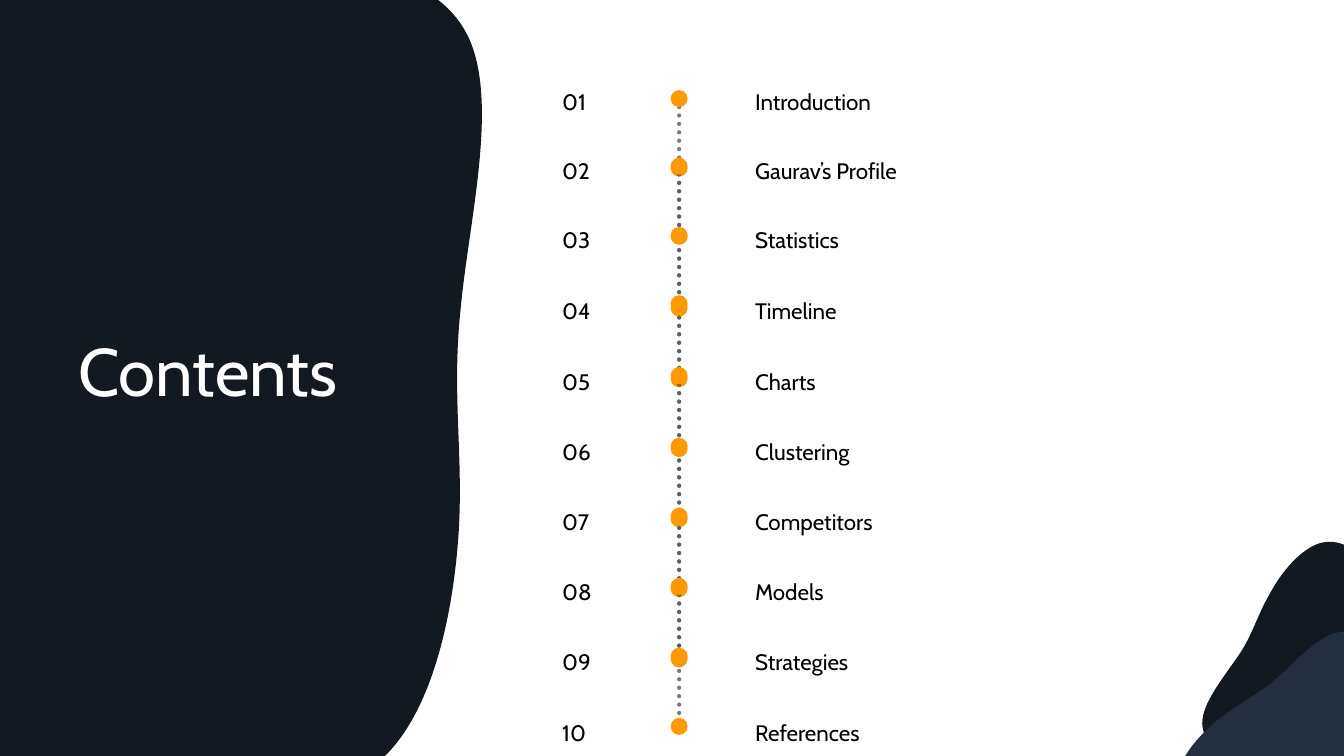
from dataclasses import dataclass
from math import cos, radians, sin

from lxml.etree import SubElement
from pptx import Presentation
from pptx.dml.color import RGBColor
from pptx.enum.dml import MSO_LINE_DASH_STYLE as DashStyle
from pptx.enum.shapes import MSO_CONNECTOR as Connector
from pptx.enum.shapes import MSO_SHAPE as Preset
from pptx.enum.text import MSO_AUTO_SIZE as AutoSize
from pptx.oxml.ns import qn
from pptx.util import Cm, Pt


@dataclass(frozen=True)
class Theme:
    font: str = "Cabin"
    title_size: int = Pt(48)
    entry_size: int = Pt(16)
    line_width: int = Pt(3)
    dark: RGBColor = RGBColor.from_string("131921")
    slate: RGBColor = RGBColor.from_string("232F3E")
    accent: RGBColor = RGBColor.from_string("FF9900")
    dots: RGBColor = RGBColor.from_string("595959")
    text: RGBColor = RGBColor.from_string("000000")
    light: RGBColor = RGBColor.from_string("FFFFFF")


@dataclass(frozen=True)
class Box:
    left: int
    top: int
    width: int
    height: int


THEME = Theme()

ENTRIES = [
    "Introduction", "Gaurav’s Profile", "Statistics", "Timeline", "Charts",
    "Clustering", "Competitors", "Models", "Strategies", "References",
]
ROW_OFFSETS = [Cm(y) for y in (0, 1.75, 3.47, 5.28, 7.06, 8.82, 10.59, 12.35, 14.12, 15.9)]

PANEL_OUTLINE = [
    [(7.39, -0.89)],
    [(9.32, -0.94), (11.28, -0.48), (11.89, 1.14)],
    [(12.52, 2.82), (11.81, 5.64), (11.61, 7.77)],
    [(11.38, 9.93), (11.68, 11.4), (11.56, 13.41)],
    [(11.43, 15.42), (10.92, 17.91), (9.65, 19.1)],
    [(8.56, 20.14), (6.91, 20.17), (5.41, 19.51)],
    [(4.98, 19.28)], [(4.98, 19.53)], [(0, 19.53)], [(0, -0.38)], [(4.62, -0.38)],
    [(5.49, -0.74), (6.43, -0.89), (7.39, -0.89)],
]

BACK_HILL_OUTLINE = [
    [(1.3, 5.14)],
    [(1.35, 4.63), (1.91, 3.97), (2.27, 3.43)],
    [(2.6, 2.9), (2.7, 2.47), (3, 1.96)],
    [(3.28, 1.43), (3.77, 0.84), (4.25, 0.69)],
    [(4.73, 0.54), (5.24, 0.84), (5.54, 1.3)],
    [(5.85, 1.78), (5.95, 2.42), (5.87, 3.08)],
    [(5.8, 3.71), (5.54, 4.35), (5.19, 4.96)],
    [(4.81, 5.57), (4.35, 6.13), (3.84, 6.38)],
    [(3.31, 6.61), (2.75, 6.51), (2.24, 6.28)],
    [(1.71, 6.02), (1.25, 5.64), (1.3, 5.14)],
]

FRONT_HILL_OUTLINE = [
    [(4.66, 2.95)],
    [(4.15, 3.08), (3.59, 3.74), (3.11, 4.15)],
    [(2.62, 4.55), (2.22, 4.73), (1.73, 5.11)],
    [(1.28, 5.47), (0.77, 6.02), (0.69, 6.51)],
    [(0.62, 7.02), (0.97, 7.47), (1.48, 7.7)],
    [(1.99, 7.93), (2.65, 7.96), (3.28, 7.78)],
    [(3.89, 7.6), (4.5, 7.27), (5.04, 6.81)],
    [(5.59, 6.35), (6.08, 5.82), (6.23, 5.26)],
    [(6.41, 4.73), (6.2, 4.17), (5.9, 3.69)],
    [(5.59, 3.23), (5.16, 2.82), (4.66, 2.95)],
]


def apply_format(target, values):
    for name, value in values.items():
        setattr(target, name, value)


def paint(shape, color):
    shape.shadow.inherit = False
    shape.fill.solid()
    shape.fill.fore_color.rgb = color
    shape.line.fill.background()


def turn_into_frame(point, box, frame, rotation):
    angle = radians(-rotation)
    x = box.left + Cm(point[0]) - frame.left - frame.width / 2
    y = box.top + Cm(point[1]) - frame.top - frame.height / 2
    return (round(x * cos(angle) - y * sin(angle) + frame.width / 2),
            round(x * sin(angle) + y * cos(angle) + frame.height / 2))


def add_blob(slide, box, frame, segments, color, rotation=0):
    curves = [[turn_into_frame(point, box, frame, rotation) for point in segment]
              for segment in segments]
    anchors = [curve[-1] for curve in curves]
    builder = slide.shapes.build_freeform(*anchors[0])
    builder.add_line_segments(anchors[1:], close=True)
    shape = builder.convert_to_shape()
    outline = next(shape._element.iter(qn("a:path")))
    outline.clear()
    apply_format(shape, {"left": frame.left, "top": frame.top, "width": frame.width,
                         "height": frame.height, "rotation": rotation})
    outline.set("w", str(frame.width))
    outline.set("h", str(frame.height))
    for index, curve in enumerate(curves):
        command = "a:cubicBezTo" if len(curve) == 3 else "a:lnTo"
        step = SubElement(outline, qn(command if index else "a:moveTo"))
        for x, y in curve:
            corner = SubElement(step, qn("a:pt"))
            corner.set("x", str(x))
            corner.set("y", str(y))
    SubElement(outline, qn("a:close"))
    paint(shape, color)


def add_text(slide, box, text, size, color, wrap=True, spacing=None):
    shape = slide.shapes.add_textbox(box.left, box.top, box.width, box.height)
    frame = shape.text_frame
    apply_format(frame, {"word_wrap": wrap, "auto_size": AutoSize.SHAPE_TO_FIT_TEXT})
    paragraph = frame.paragraphs[0]
    paragraph.line_spacing = spacing
    run = paragraph.add_run()
    run.text = text
    apply_format(run.font, {"name": THEME.font, "size": size})
    run.font.color.rgb = color


def draw_title_panel(slide, box):
    frame = Box(box.left, box.top - Cm(0.91), box.width, Cm(20.85))
    add_blob(slide, box, frame, PANEL_OUTLINE, THEME.dark)
    title_box = Box(box.left + Cm(1.73), box.top + Cm(8.18), Cm(7.49), Cm(2.31))
    add_text(slide, title_box, "Contents", THEME.title_size, THEME.light, wrap=False)


def draw_dot_chain(slide, box, offsets):
    group = slide.shapes.add_group_shape()
    radius = box.width // 2
    center = box.left + radius
    line = group.shapes.add_connector(
        Connector.STRAIGHT, center, box.top + radius, center, box.top + box.height - radius)
    apply_format(line.line, {"width": THEME.line_width, "dash_style": DashStyle.ROUND_DOT})
    line.line.color.rgb = THEME.dots
    properties = line._element.spPr
    outline = properties.find(qn("a:ln"))
    outline.set("cap", "rnd")
    color = outline.find(qn("a:solidFill")).find(qn("a:srgbClr"))
    SubElement(color, qn("a:alpha")).set("val", "80000")
    SubElement(properties, qn("a:effectLst"))
    for offset in offsets:
        dot = group.shapes.add_shape(
            Preset.OVAL, box.left, box.top + offset, box.width, box.width)
        paint(dot, THEME.accent)


def draw_contents(slide, box):
    columns = {"number": (0, Cm(2.06)), "label": (Cm(4.86), Cm(6.53))}
    for number, (entry, row) in enumerate(zip(ENTRIES, ROW_OFFSETS), start=1):
        texts = {"number": f"{number:02d}", "label": entry}
        for name, (offset, width) in columns.items():
            cell = Box(box.left + offset, box.top + row, width, Cm(1.07))
            add_text(slide, cell, texts[name], THEME.entry_size, THEME.text, spacing=1.3)
    dot_size = Cm(0.43)
    dot_offsets = ROW_OFFSETS[:-1]
    for offset in (Cm(0.38), Cm(2.08)):
        chain = Box(box.left + Cm(2.98), box.top + offset, dot_size, dot_offsets[-1] + dot_size)
        draw_dot_chain(slide, chain, dot_offsets)


def draw_corner_hills(slide, box):
    hills = [
        (2.17, 0.59, BACK_HILL_OUTLINE, THEME.dark, 206.4),
        (1.84, 2.67, FRONT_HILL_OUTLINE, THEME.slate, 55.1),
    ]
    for x, y, outline, color, rotation in hills:
        frame = Box(box.left + Cm(x), box.top + Cm(y), Cm(3.48), Cm(6.15))
        add_blob(slide, box, frame, outline, color, rotation)


def main():
    presentation = Presentation()
    apply_format(presentation, {"slide_width": Cm(33.87), "slide_height": Cm(19.05)})
    slide = presentation.slides.add_slide(presentation.slide_layouts[6])
    draw_title_panel(slide, Box(0, 0, Cm(12.14), Cm(19.05)))
    draw_contents(slide, Box(Cm(13.92), Cm(1.89), Cm(11.39), Cm(16.97)))
    draw_corner_hills(slide, Box(Cm(29), Cm(13), Cm(4.87), Cm(6.05)))
    presentation.save("out.pptx")


if __name__ == "__main__":
    main()
